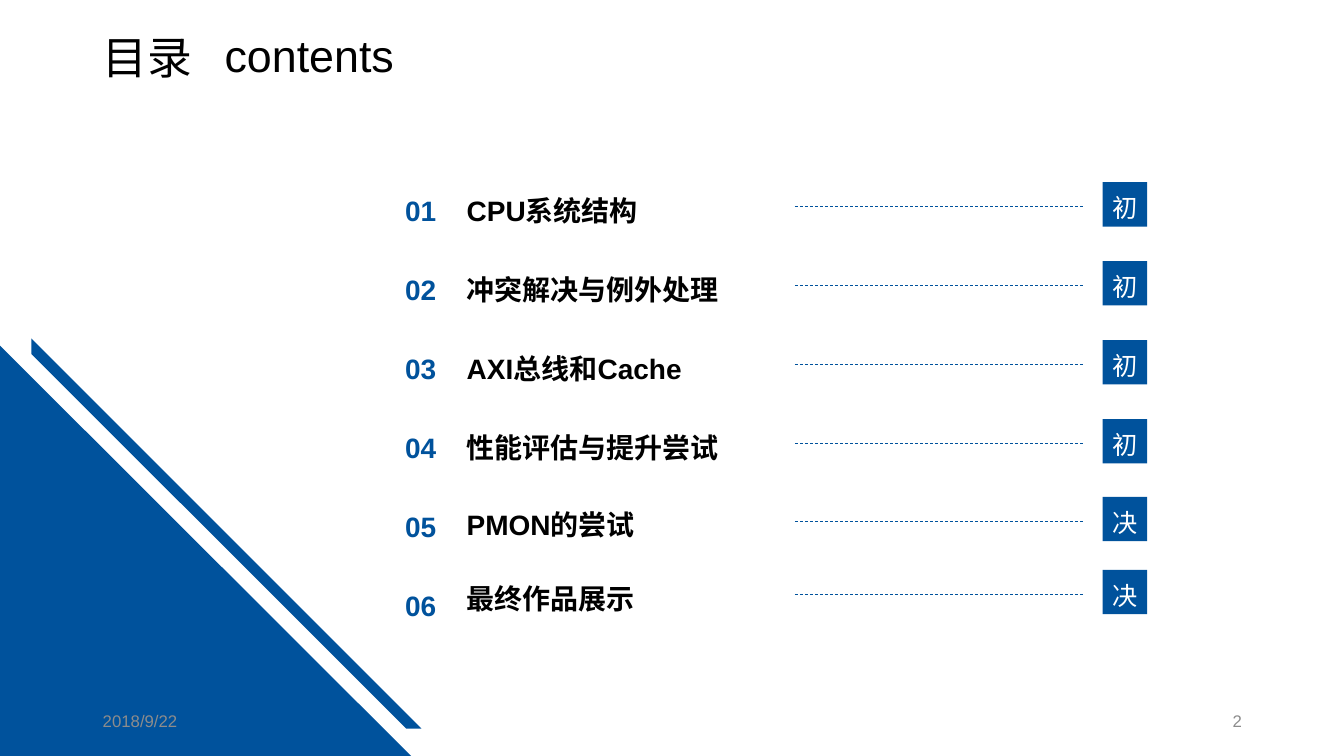
from dataclasses import dataclass

import pptx
import pptx.dml.color
import pptx.enum.dml
import pptx.enum.shapes
import pptx.enum.text
import pptx.oxml
import pptx.util

Cm, Pt = pptx.util.Cm, pptx.util.Pt
RGB = pptx.dml.color.RGBColor.from_string
Align = pptx.enum.text.PP_ALIGN


@dataclass(frozen=True)
class Theme:
    font: str = "Arial"
    blue: str = "00529C"
    black: str = "000000"
    white: str = "FFFFFF"
    grey: str = "8C8C8C"
    heading: int = 32
    item: int = 20
    stage: int = 18
    footer: int = 12


class ContentsSlide:
    def __init__(self, slide, theme):
        self.shapes = slide.shapes
        self.theme = theme

    def set_text(self, shape, text, size, color, bold=False, align=Align.LEFT,
                 spacing=1.2, inset=True):
        frame = shape.text_frame
        formats = {"word_wrap": True,
                   "vertical_anchor": pptx.enum.text.MSO_ANCHOR.MIDDLE}
        if not inset:
            sides = ("left", "top", "right", "bottom")
            formats.update({f"margin_{side}": 0 for side in sides})
        for name, value in formats.items():
            setattr(frame, name, value)
        paragraph = frame.paragraphs[0]
        paragraph.alignment = align
        paragraph.line_spacing = spacing
        run = paragraph.add_run()
        run.text = text
        font_formats = {"name": self.theme.font, "size": Pt(size), "bold": bold}
        for name, value in font_formats.items():
            setattr(run.font, name, value)
        run.font.color.rgb = RGB(color)

    def fill_blue(self, shape):
        shape.shadow.inherit = False
        shape.fill.solid()
        shape.fill.fore_color.rgb = RGB(self.theme.blue)
        shape.line.fill.background()

    def text(self, box, text, size, color, **formats):
        label = self.shapes.add_textbox(*map(Cm, box))
        self.set_text(label, text, size, color, **formats)
        return label

    def badge(self, box, text):
        square = self.shapes.add_shape(
            pptx.enum.shapes.MSO_SHAPE.RECTANGLE, *map(Cm, box))
        self.fill_blue(square)
        self.set_text(square, text, self.theme.stage, self.theme.white,
                      align=Align.CENTER, inset=False)

    def leader(self, title, end_x):
        """Dashed line from the middle of the title's right side to end_x."""
        y = title.top + title.height // 2
        line = self.shapes.add_connector(
            pptx.enum.shapes.MSO_CONNECTOR.STRAIGHT,
            title.left + title.width, y, Cm(end_x), y)
        line.begin_connect(title, 3)
        line.line.color.rgb = RGB(self.theme.blue)
        line.line.width = Pt(0.5)
        line.line.dash_style = pptx.enum.dml.MSO_LINE.DASH
        line._element.spPr.append(pptx.oxml.parse_xml(
            '<a:effectLst xmlns:a='
            '"http://schemas.openxmlformats.org/drawingml/2006/main"/>'))

    def corner(self, outlines):
        """One blue shape made of several closed outlines, points in cm."""
        contours = [[(Cm(x), Cm(y)) for x, y in points] for points in outlines]
        builder = self.shapes.build_freeform(*contours[0][0])
        builder.add_line_segments(contours[0][1:], close=True)
        for start, *rest in contours[1:]:
            builder.move_to(*start)
            builder.add_line_segments(rest, close=True)
        self.fill_blue(builder.convert_to_shape())


# title, competition stage, how far the row sits above the even grid (cm)
CHAPTERS = [
    ("CPU系统结构", "初", 0),
    ("冲突解决与例外处理", "初", 0),
    ("AXI总线和Cache", "初", 0),
    ("性能评估与提升尝试", "初", 0),
    ("PMON的尝试", "决", 0.03),
    ("最终作品展示", "决", 0.18),
]
FIRST_TOP, PITCH, ROW_HEIGHT = 4.65, 1.99, 1.12


def main():
    deck = pptx.Presentation()
    deck.slide_width, deck.slide_height = Cm(33.87), Cm(19.05)
    theme = Theme()
    page = ContentsSlide(deck.slides.add_slide(deck.slide_layouts[6]), theme)

    page.text((2.34, 0, 3.1, 2.59), "目录", theme.heading, theme.black)
    page.text((5.41, 0, 5.08, 2.49), "contents", theme.heading, theme.black)
    page.corner([
        [(0, 8.71), (10.36, 19.05), (0, 19.05)],
        [(0.79, 8.53), (10.62, 18.36), (10.24, 18.36), (0.79, 8.92)],
    ])

    for index, (chapter, stage, lift) in enumerate(CHAPTERS):
        top = FIRST_TOP + index * PITCH
        page.text((10.21, top, 1.07, ROW_HEIGHT), f"{index + 1:02}",
                  theme.item, theme.blue, bold=True, inset=False)
        title = page.text((11.76, top - lift, 8.27, ROW_HEIGHT), chapter,
                          theme.item, theme.black, bold=True, inset=False)
        page.leader(title, 27.33)
        page.badge((27.79, top - lift - 0.06, ROW_HEIGHT, ROW_HEIGHT), stage)

    for left, text, align in [(2.34, "2018/9/22", Align.LEFT),
                              (23.93, "2", Align.RIGHT)]:
        page.text((left, 17.65, 7.62, 1.02), text, theme.footer, theme.grey,
                  align=align, spacing=1.0)

    deck.save("out.pptx")


if __name__ == "__main__":
    main()
